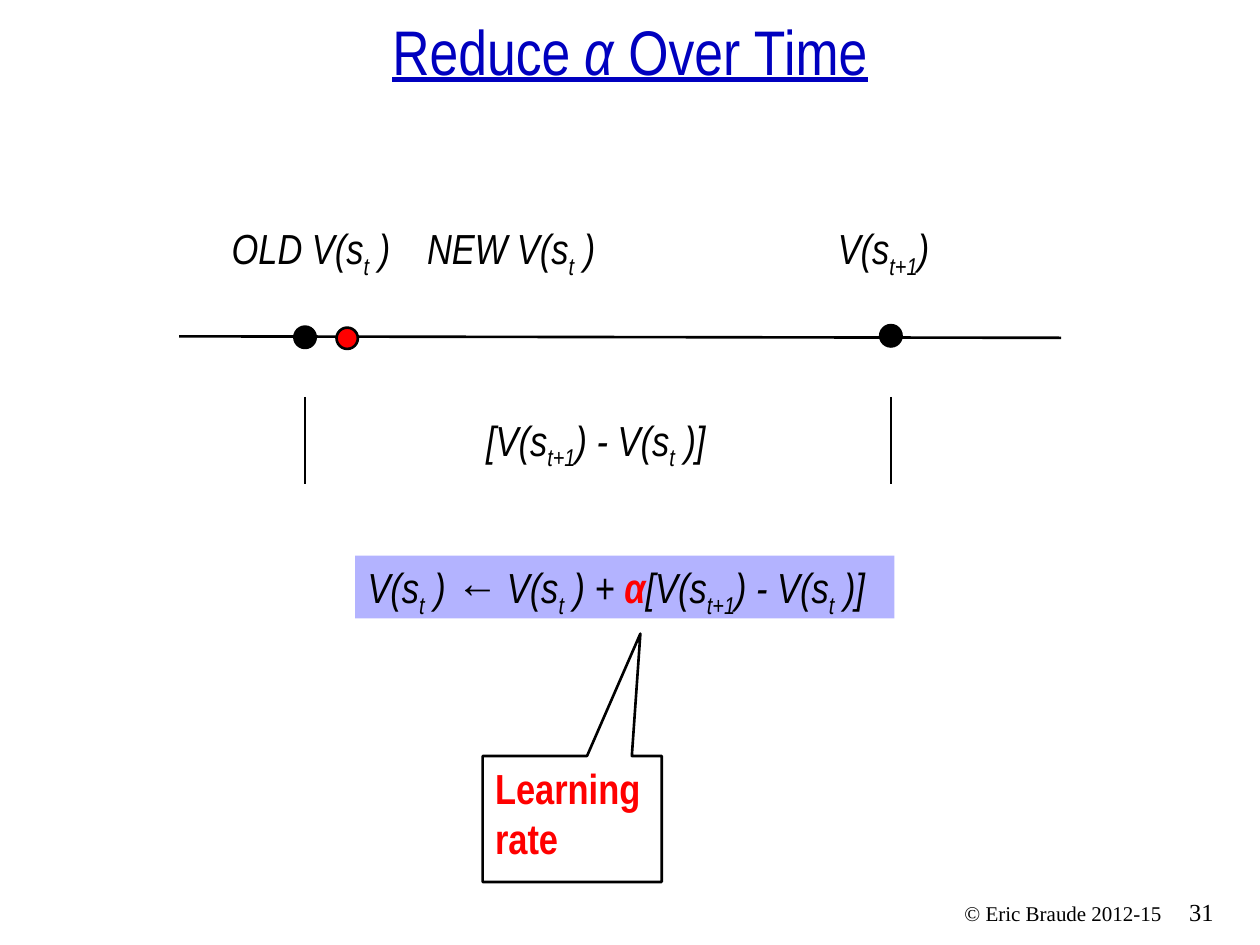
from lxml import etree
from pptx import Presentation
from pptx import util as u
from pptx.dml.color import RGBColor
from pptx.enum import shapes, text
from pptx.oxml.ns import qn

BLACK = RGBColor(0x00, 0x00, 0x00)
RED = RGBColor(0xFF, 0x00, 0x00)
BLUE = RGBColor(0x00, 0x00, 0xBF)
LILAC = RGBColor(0xB3, 0xB3, 0xFF)
WHITE = RGBColor(0xFF, 0xFF, 0xFF)
Cm = u.Cm
LEFT, CENTER, RIGHT = text.PP_ALIGN.LEFT, text.PP_ALIGN.CENTER, text.PP_ALIGN.RIGHT
TOP, BOTTOM = text.MSO_ANCHOR.TOP, text.MSO_ANCHOR.BOTTOM
FORMULA = dict(name="Arial Narrow", size=u.Pt(24), italic=True)
SERIF = dict(name="Times New Roman", italic=False)


def write(sp, runs, align=LEFT, anchor=TOP, **base):
    """Fill a shape with one paragraph of (text, format) runs."""
    tf = sp.text_frame
    tf.word_wrap = True
    tf.vertical_anchor = anchor
    p = tf.paragraphs[0]
    p.alignment = align
    for words, extra in runs:
        fmt = {"color": BLACK, **FORMULA, **base, **extra}
        r = p.add_run()
        r.text = words
        r.font.fill.solid()
        r.font.fill.fore_color.rgb = fmt.pop("color")
        if fmt.pop("sub", False):
            r.font._element.set("baseline", "-25000")
        for key, value in fmt.items():
            setattr(r.font, key, value)


def add_shape(kind, left, top, width, height, fill, line=BLACK):
    """Add a flat preset shape, with an outline unless line is None."""
    sp = s.shapes.add_shape(kind, Cm(left), Cm(top), Cm(width), Cm(height))
    sp.shadow.inherit = False
    sp.fill.solid()
    sp.fill.fore_color.rgb = fill
    if line is None:
        sp.line.fill.background()
    else:
        sp.line.color.rgb = line
        sp.line.width = u.Pt(1.5)
    return sp


prs = Presentation()
prs.slide_width, prs.slide_height = Cm(25.4), Cm(19.05)
s = prs.slides.add_slide(prs.slide_layouts[6])

# Formula parts
SUB = dict(sub=True)
old_value = [("V(s", {}), ("t", SUB), (" )", {})]
next_value = [("V(s", {}), ("t+1", SUB), (")", {})]
difference = [("[", {})] + next_value + [(" - ", {})] + old_value + [("]", {})]
update = (old_value + [(" ← ", {})] + old_value
          + [(" + ", {}), ("α", dict(color=RED, bold=True))] + difference)

# Title, footer and labels
title = [("Reduce ", {}), ("α ", dict(italic=True)), ("Over Time", {})]
title_format = dict(align=CENTER, anchor=BOTTOM, size=u.Pt(36), color=BLUE,
                    italic=False, underline=True)
boxes = [
    (0.1, 0.1, 25.2, 1.8, title, title_format),
    (23.72, 17.96, 1.47, 0.84, [("31", {})], dict(SERIF, size=u.Pt(14))),
    (16.89, 18.03, 6.78, 0.76, [("© Eric Braude 2012-15", {})],
     dict(SERIF, size=u.Pt(12), align=RIGHT)),
    (4.42, 4.37, 3.81, 1.27, [("OLD ", {})] + old_value, {}),
    (8.36, 4.37, 3.99, 1.27, [("NEW ", {})] + old_value, {}),
    (16.64, 4.37, 2.64, 1.27, next_value, {}),
    (9.55, 8.23, 5.05, 1.27, difference, {}),
]
for left, top, width, height, runs, fmt in boxes:
    sp = s.shapes.add_textbox(Cm(left), Cm(top), Cm(width), Cm(height))
    write(sp, runs, **fmt)

# Update rule
rule = add_shape(shapes.MSO_SHAPE.RECTANGLE, 7.16, 11.2, 10.87, 1.27, LILAC, None)
write(rule, update)

# Learning rate callout
callout = add_shape(shapes.MSO_SHAPE.RECTANGULAR_CALLOUT, 9.73, 15.24, 3.61, 2.54, WHITE)
callout.adjustments[0], callout.adjustments[1] = 0.381, -1.471
write(callout, [("Learning rate", {})], color=RED, bold=True, italic=False)

# Value axis and distance markers
old_x, next_x = 6.15, 17.96
for x1, y1, x2, y2 in [(3.61, 6.78, 21.39, 6.81),
                       (old_x, 8.0, old_x, 9.75),
                       (next_x, 8.0, next_x, 9.75)]:
    line = s.shapes.add_connector(shapes.MSO_CONNECTOR.STRAIGHT,
                                  Cm(x1), Cm(y1), Cm(x2), Cm(y2))
    line.line.color.rgb = BLACK
    line.line.width = u.Pt(1.5)
    etree.SubElement(line._element.spPr, qn("a:effectLst"))

# Points on the axis
dot = 0.43
for x, y, color in [(old_x, 6.8, BLACK), (7.0, 6.82, RED), (next_x, 6.77, BLACK)]:
    add_shape(shapes.MSO_SHAPE.OVAL, x - dot / 2, y - dot / 2, dot, dot, color)

prs.save("out.pptx")
